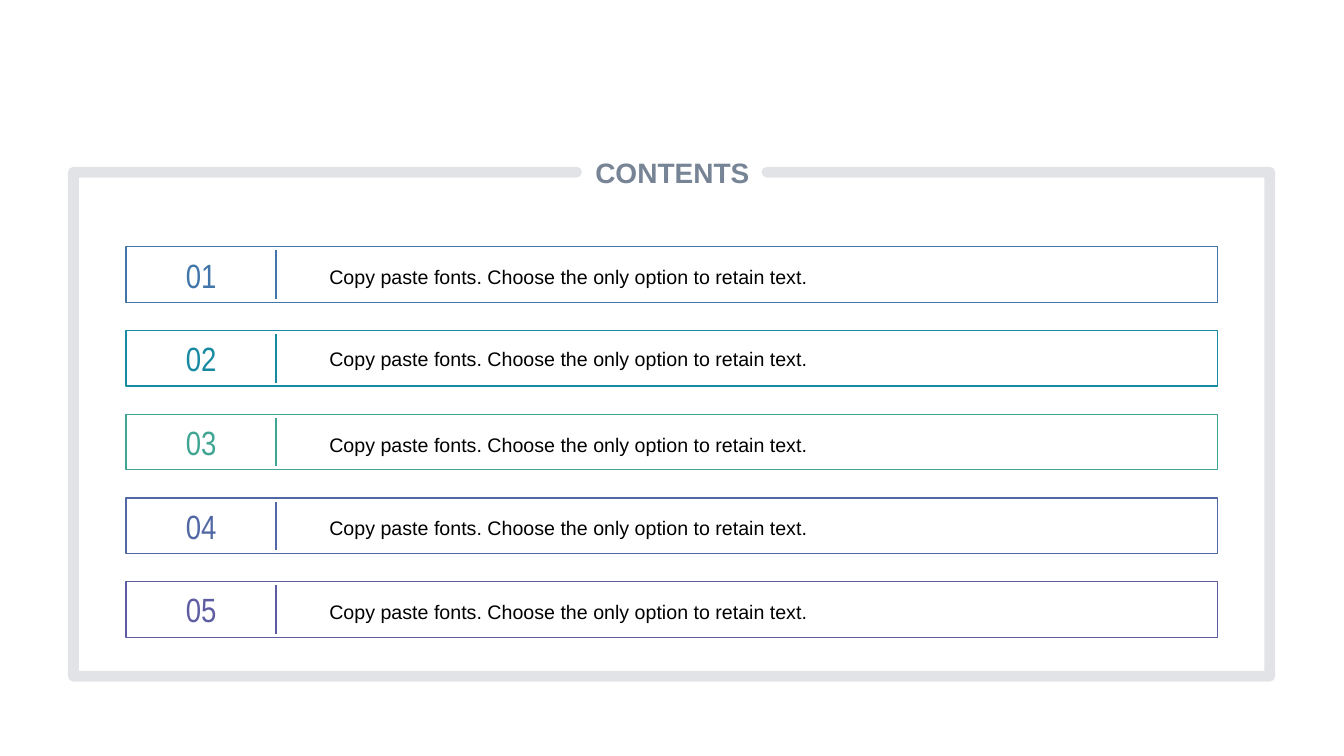
from dataclasses import dataclass

from pptx import Presentation
from pptx.dml.color import RGBColor as RGB
from pptx.enum.shapes import MSO_CONNECTOR as CONN, MSO_SHAPE as SHAPE
from pptx.enum.text import MSO_ANCHOR as ANCHOR, MSO_AUTO_SIZE as AUTO, PP_ALIGN as ALIGN
from pptx.oxml.ns import qn
from pptx.oxml.xmlchemy import OxmlElement
from pptx.util import Cm, Pt


@dataclass(frozen=True)
class Theme:
    slate: str = "778495"
    text: str = "000000"
    rows: tuple = ("4276AA", "178AA1", "40A693", "5268A5", "5E5CA2")
    font: str = "Arial"
    number_font: str = "Arial Narrow"
    title_size: float = 20
    number_size: float = 24
    body_size: float = 14
    frame_width: float = 7.75
    frame_opacity: int = 21
    line_width: float = 1


class Deck:
    """Draw styled elements on the current slide."""

    def __init__(self, prs, theme):
        self.theme = theme
        self.slide = prs.slides.add_slide(prs.slide_layouts[5])

    def set_text(self, sp, text, font, size, color, align, bold=False, spacing=1.0):
        tf = sp.text_frame
        tf.word_wrap = True
        tf.auto_size = AUTO.NONE
        tf.vertical_anchor = ANCHOR.MIDDLE
        p = tf.paragraphs[0]
        p.text = text
        p.alignment = align
        p.line_spacing = spacing
        p.font.name, p.font.size, p.font.bold = font, Pt(size), bold
        p.font.color.rgb = RGB.from_string(color)

    def stroke(self, sp, color, width):
        sp.line.color.rgb = RGB.from_string(color)
        sp.line.width = Pt(width)

    def title(self, text, x, y, w, h):
        t = self.theme
        sp = self.slide.shapes.title
        sp.left, sp.top, sp.width, sp.height = Cm(x), Cm(y), Cm(w), Cm(h)
        tf = sp.text_frame
        tf.margin_left = tf.margin_right = tf.margin_top = tf.margin_bottom = 0
        self.set_text(sp, text, t.font, t.title_size, t.slate, ALIGN.CENTER, bold=True)

    def text(self, text, x, y, w, h, **style):
        sp = self.slide.shapes.add_textbox(Cm(x), Cm(y), Cm(w), Cm(h))
        self.set_text(sp, text, **style)

    def box(self, x, y, w, h, color):
        sp = self.slide.shapes.add_shape(SHAPE.RECTANGLE, Cm(x), Cm(y), Cm(w), Cm(h))
        sp.shadow.inherit = False
        sp.fill.background()
        self.stroke(sp, color, self.theme.line_width)

    def divider(self, x, top, bottom, color):
        sp = self.slide.shapes.add_connector(CONN.STRAIGHT, Cm(x), Cm(top), Cm(x), Cm(bottom))
        sp._element.spPr.append(OxmlElement("a:effectLst"))
        self.stroke(sp, color, self.theme.line_width)

    def frame(self, points):
        t = self.theme
        start, *rest = [(Cm(x), Cm(y)) for x, y in points]
        builder = self.slide.shapes.build_freeform(*start)
        builder.add_line_segments(rest, close=False)
        sp = builder.convert_to_shape()
        sp.shadow.inherit = False
        sp.fill.background()
        self.stroke(sp, t.slate, t.frame_width)
        ln = sp._element.spPr.find(qn("a:ln"))
        ln.set("cap", "rnd")
        alpha = OxmlElement("a:alpha")
        alpha.set("val", str(t.frame_opacity * 1000))
        ln.find(".//" + qn("a:srgbClr")).append(alpha)
        ln.append(OxmlElement("a:round"))


def main():
    theme = Theme()
    prs = Presentation()
    prs.slide_width, prs.slide_height = Cm(33.87), Cm(19.05)
    deck = Deck(prs, theme)

    deck.title("CONTENTS", 14.76, 3.5, 4.37, 1.7)
    left, right, top, bottom = 1.85, 32, 4.34, 17.04
    deck.frame([(19.33, top), (right, top), (right, bottom),
                (left, bottom), (left, top), (14.53, top)])

    row_x, row_y, row_w, row_h, pitch = 3.18, 6.22, 27.51, 1.4, 2.11
    number_w, text_x, inset = 3.78, 8.05, 0.09
    spacings = (1.2, 1.0, 1.2, 1.2, 1.2)
    for i, (color, spacing) in enumerate(zip(theme.rows, spacings)):
        y = row_y + i * pitch
        deck.box(row_x, y, row_w, row_h, color)
        deck.text(f"{i + 1:02}", row_x, y, number_w, row_h, font=theme.number_font,
                  size=theme.number_size, color=color, align=ALIGN.CENTER)
        deck.divider(row_x + number_w, y + inset, y + row_h - inset, color)
        deck.text("Copy paste fonts. Choose the only option to retain text.",
                  text_x, y, row_x + row_w - text_x, row_h, font=theme.font,
                  size=theme.body_size, color=theme.text, align=ALIGN.LEFT, spacing=spacing)

    prs.save("out.pptx")


if __name__ == "__main__":
    main()
